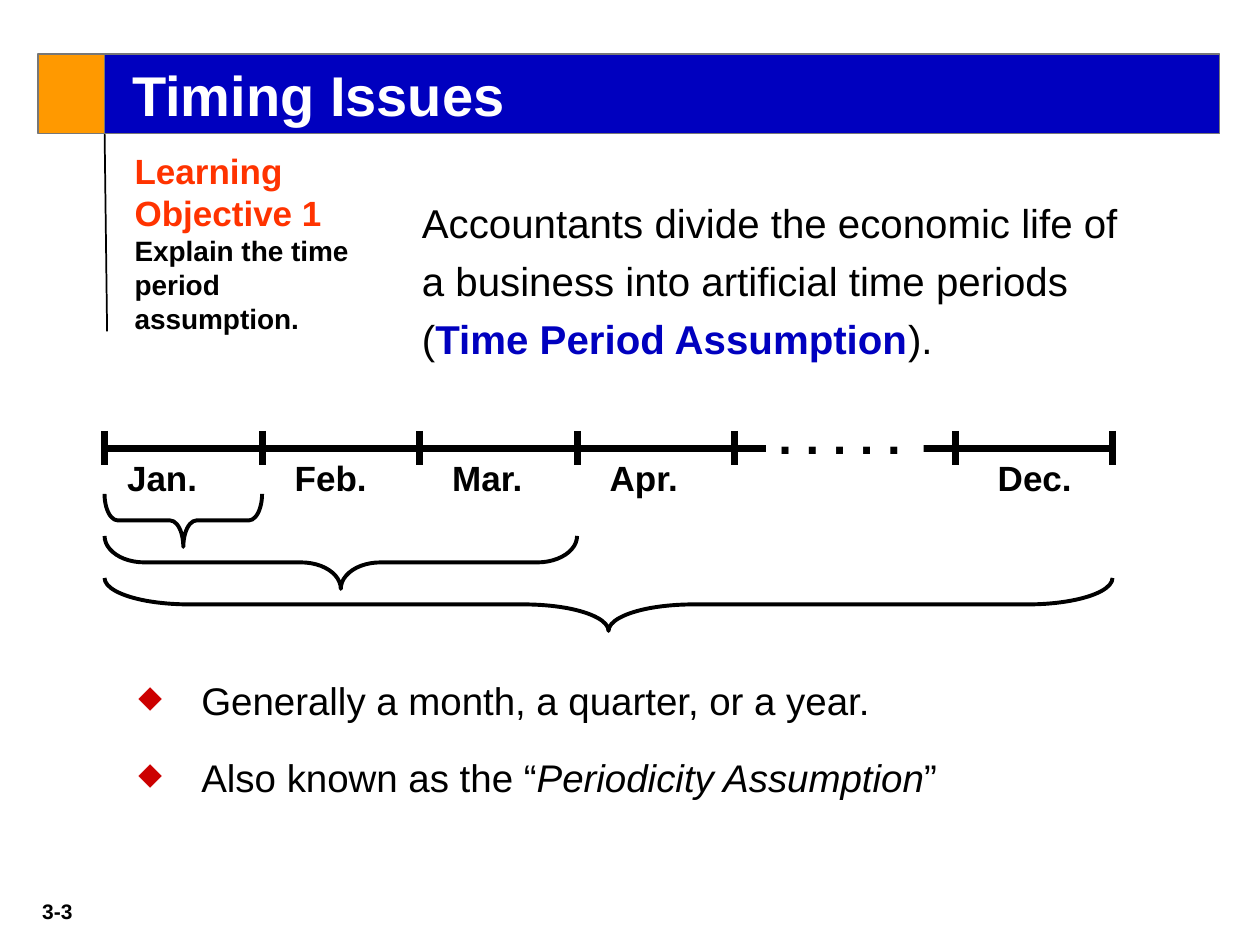
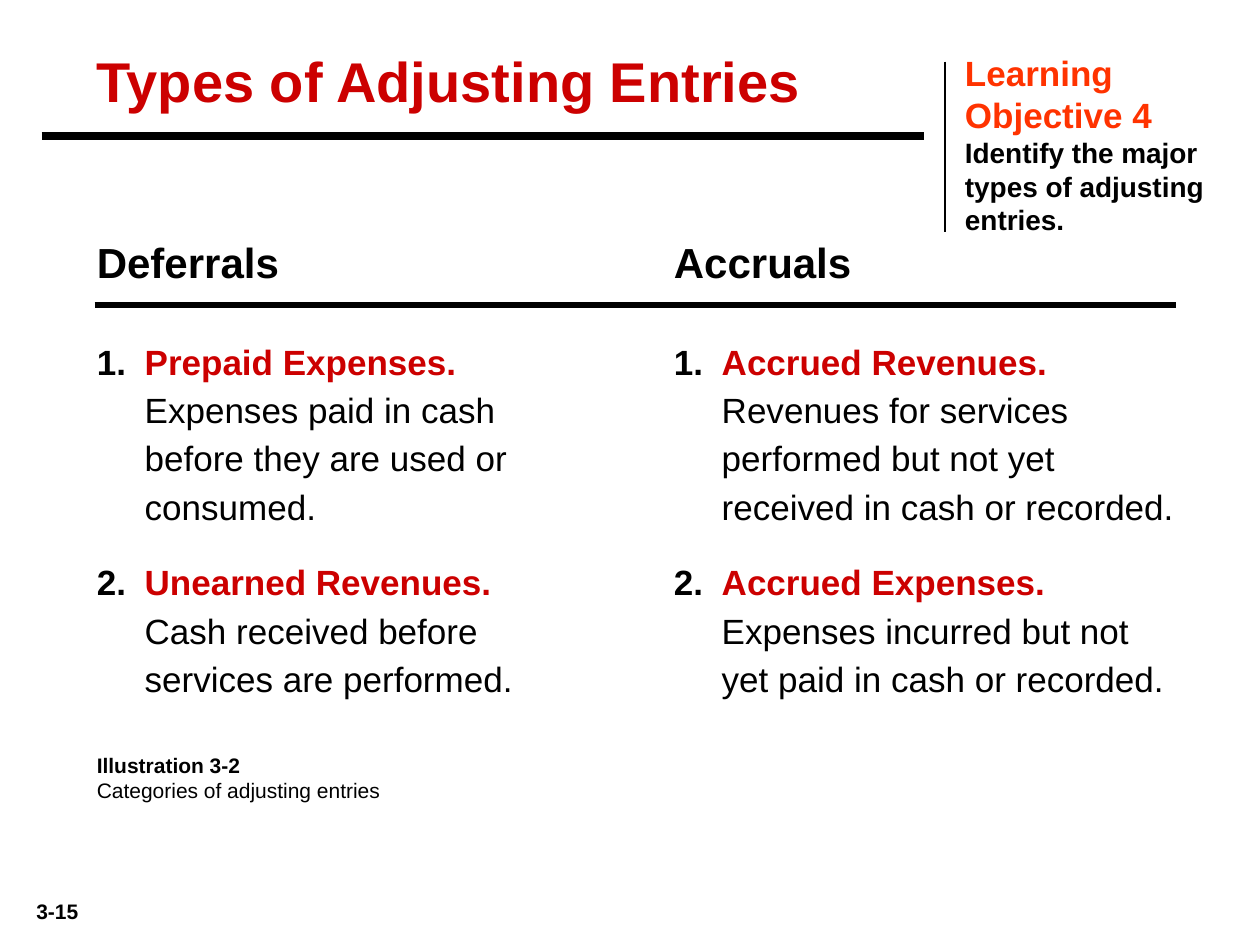
from dataclasses import dataclass

from lxml.etree import SubElement
from pptx import Presentation
from pptx.dml.color import RGBColor
from pptx.enum.shapes import MSO_CONNECTOR as Connector
from pptx.enum.shapes import MSO_SHAPE as Preset
from pptx.enum.text import MSO_ANCHOR as Anchor
from pptx.enum.text import PP_ALIGN as Align
from pptx.oxml.ns import qn
from pptx.shapes.autoshape import Shape
from pptx.slide import Slide
from pptx.util import Inches, Pt

FONT = "Arial"
COLORS = {
    "black": "000000",
    "white": "FFFFFF",
    "blue": "0000BF",
    "orange": "FF9900",
    "red": "CC0000",
    "objective": "FF3300",
    "frame": "777777",
}


@dataclass(frozen=True)
class Box:
    left: float
    top: float
    width: float
    height: float


@dataclass(frozen=True)
class Run:
    text: str
    size: float
    color: str = "black"
    bold: bool = False
    italic: bool = False


@dataclass(frozen=True)
class Entry:
    number: int
    name: str
    meaning: str


@dataclass(frozen=True)
class Category:
    heading: str
    left: float
    entries: tuple[Entry, ...]


Lines = list[list[Run]]


def rgb(name: str) -> RGBColor:
    return RGBColor.from_string(COLORS[name])


# Shared drawing functions
def fill_text(shape: Shape, lines: Lines, frame_format: dict | None = None,
              paragraph_format: dict | None = None, indent: tuple[float, float] = (0, 0)) -> None:
    """Write paragraphs of runs; indent is (left margin, first line) in inches."""
    frame = shape.text_frame
    frame_values = {"word_wrap": True, "vertical_anchor": Anchor.TOP} | (frame_format or {})
    for attribute, value in frame_values.items():
        setattr(frame, attribute, value)
    for index, runs in enumerate(lines):
        paragraph = frame.paragraphs[0] if index == 0 else frame.add_paragraph()
        paragraph_values = {"alignment": Align.LEFT} | (paragraph_format or {})
        for attribute, value in paragraph_values.items():
            setattr(paragraph, attribute, value)
        if any(indent):
            properties = paragraph._p.get_or_add_pPr()
            properties.set("marL", str(Inches(indent[0])))
            properties.set("indent", str(Inches(indent[1])))
        for item in runs:
            run = paragraph.add_run()
            run.text = item.text
            font_values = {"name": FONT, "size": Pt(item.size),
                           "bold": item.bold, "italic": item.italic}
            for attribute, value in font_values.items():
                setattr(run.font, attribute, value)
            run.font.color.rgb = rgb(item.color)


def add_text(slide: Slide, box: Box, lines: Lines, frame_format: dict | None = None,
             paragraph_format: dict | None = None, indent: tuple[float, float] = (0, 0)) -> Shape:
    shape = slide.shapes.add_textbox(Inches(box.left), Inches(box.top),
                                     Inches(box.width), Inches(box.height))
    fill_text(shape, lines, frame_format, paragraph_format, indent)
    return shape


def add_preset(slide: Slide, preset: Preset, box: Box, fill: str | None = None,
               line: str | None = None, width: float = 1) -> Shape:
    shape = slide.shapes.add_shape(preset, Inches(box.left), Inches(box.top),
                                   Inches(box.width), Inches(box.height))
    shape.shadow.inherit = False
    if fill:
        shape.fill.solid()
        shape.fill.fore_color.rgb = rgb(fill)
    else:
        shape.fill.background()
    if line:
        shape.line.color.rgb = rgb(line)
        shape.line.width = Pt(width)
    else:
        shape.line.fill.background()
    return shape


def add_line(slide: Slide, start: tuple[float, float], end: tuple[float, float],
             width: float) -> None:
    connector = slide.shapes.add_connector(
        Connector.STRAIGHT, *(Inches(value) for value in start + end))
    connector.line.color.rgb = rgb("black")
    connector.line.width = Pt(width)
    SubElement(connector._element.spPr, qn("a:effectLst"))


def add_bullets(shape: Shape, character: str, color: str, percent: int) -> None:
    for paragraph in shape.text_frame.paragraphs:
        properties = paragraph._p.get_or_add_pPr()
        bullet_color = SubElement(properties, qn("a:buClr"))
        SubElement(bullet_color, qn("a:srgbClr"), val=COLORS[color])
        SubElement(properties, qn("a:buSzPct"), val=str(percent * 1000))
        SubElement(properties, qn("a:buChar"), char=character)


def add_title(shape: Shape, text: str, color: str, indent: float = 0) -> None:
    fill_text(shape, [[Run(text, 32, color, bold=True)]],
              {"vertical_anchor": Anchor.MIDDLE}, indent=(indent, 0))


def add_objective(slide: Slide, box: Box, number: int, text: str) -> None:
    shape = add_preset(slide, Preset.RECTANGLE, box, "white")
    fill_text(shape, [[Run(f"Learning Objective {number} ", 20, "objective", bold=True),
                       Run(text, 16, bold=True)]])


def add_page_number(slide: Slide, number: str) -> None:
    add_text(slide, Box(0.08, 7.08, 0.75, 0.3), [[Run(number, 12, bold=True)]],
             paragraph_format={"alignment": Align.CENTER})


# Timing slide
def add_timeline(slide: Slide) -> None:
    start, month, axis = 0.83, 1.25, 3.56
    december, year_end = 7.58, 8.83
    add_line(slide, (start, axis), (year_end, axis), 4)

    # Gap between April and December
    gap = add_preset(slide, Preset.RECTANGLE, Box(6.08, 3.42, 1.25, 0.33), "white")
    fill_text(gap, [[Run(". . . . .", 28, bold=True)]],
              {"vertical_anchor": Anchor.MIDDLE, "word_wrap": False}, {"line_spacing": 0.15})

    # Ticks and month names
    for x in [start + month * index for index in range(5)] + [december, year_end]:
        add_line(slide, (x, 3.42), (x, 3.69), 4)
    label_lefts = {"Jan.": 0.91, "Feb.": 2.24, "Mar.": 3.49, "Apr.": 4.74, "Dec.": 7.82}
    for name, left in label_lefts.items():
        add_text(slide, Box(left, 3.57, 0.95, 0.43), [[Run(name, 20, bold=True)]])

    # Braces for a month, a quarter and a year
    depth = 0.42
    for index, span in enumerate((month, 3 * month, year_end - start)):
        center_x, center_y = start + span / 2, 4.13 + index / 3
        brace = add_preset(slide, Preset.LEFT_BRACE,
                           Box(center_x - depth / 2, center_y - span / 2, depth, span),
                           line="black", width=2.25)
        brace.rotation = 270
        brace.adjustments[0] = 0.2 * span


def build_timing(slide: Slide) -> None:
    add_page_number(slide, "3-3")
    add_objective(slide, Box(0.97, 1.14, 2.03, 1.58), 1, "Explain the time period assumption.")
    add_line(slide, (0.83, 1.03), (0.85, 2.63), 1)

    # Title band
    band = add_preset(slide, Preset.RECTANGLE, Box(0.83, 0.43, 8.85, 0.63), "blue", "frame")
    add_title(band, "Timing Issues", "white", indent=0.12)
    add_preset(slide, Preset.RECTANGLE, Box(0.3, 0.43, 0.53, 0.63), "orange", "frame")

    add_text(slide, Box(3.25, 1.45, 5.92, 1.49), [[
        Run("Accountants divide the economic life of a business into artificial "
            "time periods (", 23),
        Run("Time Period Assumption", 23, "blue", bold=True),
        Run(").", 23),
    ]], paragraph_format={"line_spacing": 1.2})
    add_timeline(slide)

    # Closing points
    points = add_text(slide, Box(1, 5.25, 8.5, 1.17), [
        [Run("Generally a month, a quarter, or a year.", 22)],
        [Run("Also known as the “", 22), Run("Periodicity Assumption", 22, italic=True),
         Run("”", 22)],
    ], paragraph_format={"line_spacing": 1.2}, indent=(0.5, -0.5))
    points.text_frame.paragraphs[1].space_before = Pt(12.5)
    add_bullets(points, "◆", "red", 80)


# Adjusting entries slide
CATEGORIES = (
    Category("Deferrals", 0.67, (
        Entry(1, "Prepaid Expenses.", "Expenses paid in cash before they are used or consumed."),
        Entry(2, "Unearned Revenues.", "Cash received before services are performed."),
    )),
    Category("Accruals", 5.25, (
        Entry(1, "Accrued Revenues.",
              "Revenues for services performed but not yet received in cash or recorded."),
        Entry(2, "Accrued Expenses.",
              "Expenses incurred but not yet paid in cash or recorded."),
    )),
)


def add_category(slide: Slide, category: Category) -> None:
    add_text(slide, Box(category.left, 1.83, 3.17, 0.5),
             [[Run(category.heading, 24, bold=True)]], {"vertical_anchor": Anchor.MIDDLE})
    height = 1.75
    for index, entry in enumerate(category.entries):
        add_text(slide, Box(category.left, 2.5 + index * height, 4.17, height), [[
            Run(f"{entry.number}.\t", 20, bold=True),
            Run(entry.name, 20, "red", bold=True),
        ], [
            Run(entry.meaning, 20),
        ]], {"margin_top": Inches(0.15)}, {"line_spacing": 1.15}, (0.38, -0.38))
        # The meaning starts at the hanging indent
        meaning = slide.shapes[-1].text_frame.paragraphs[1]
        meaning._p.get_or_add_pPr().set("indent", "0")


def build_adjusting_entries(slide: Slide) -> None:
    add_page_number(slide, "3-15")
    caption = add_preset(slide, Preset.RECTANGLE, Box(0.67, 5.92, 2.75, 0.5), "white")
    fill_text(caption, [[Run("Illustration 3-2", 12, bold=True)],
                        [Run("Categories of adjusting entries", 12)]])

    # Two columns under a common rule
    for category in CATEGORIES:
        add_category(slide, category)
    add_line(slide, (0.75, 2.42), (9.33, 2.42), 3)

    # Title and learning objective
    title = add_preset(slide, Preset.RECTANGLE, Box(0.67, 0.33, 9, 0.61))
    add_title(title, "Types of Adjusting Entries", "red")
    add_line(slide, (0.33, 1.08), (7.33, 1.08), 4.5)
    add_line(slide, (7.5, 0.49), (7.5, 1.84), 1)
    add_objective(slide, Box(7.56, 0.36, 2.19, 1.58), 4,
                  "Identify the major types of adjusting entries.")


def main() -> None:
    presentation = Presentation()
    presentation.slide_width = Inches(10)
    presentation.slide_height = Inches(7.5)
    blank = presentation.slide_layouts[6]
    for build in (build_timing, build_adjusting_entries):
        build(presentation.slides.add_slide(blank))
    presentation.save("out.pptx")


if __name__ == "__main__":
    main()
